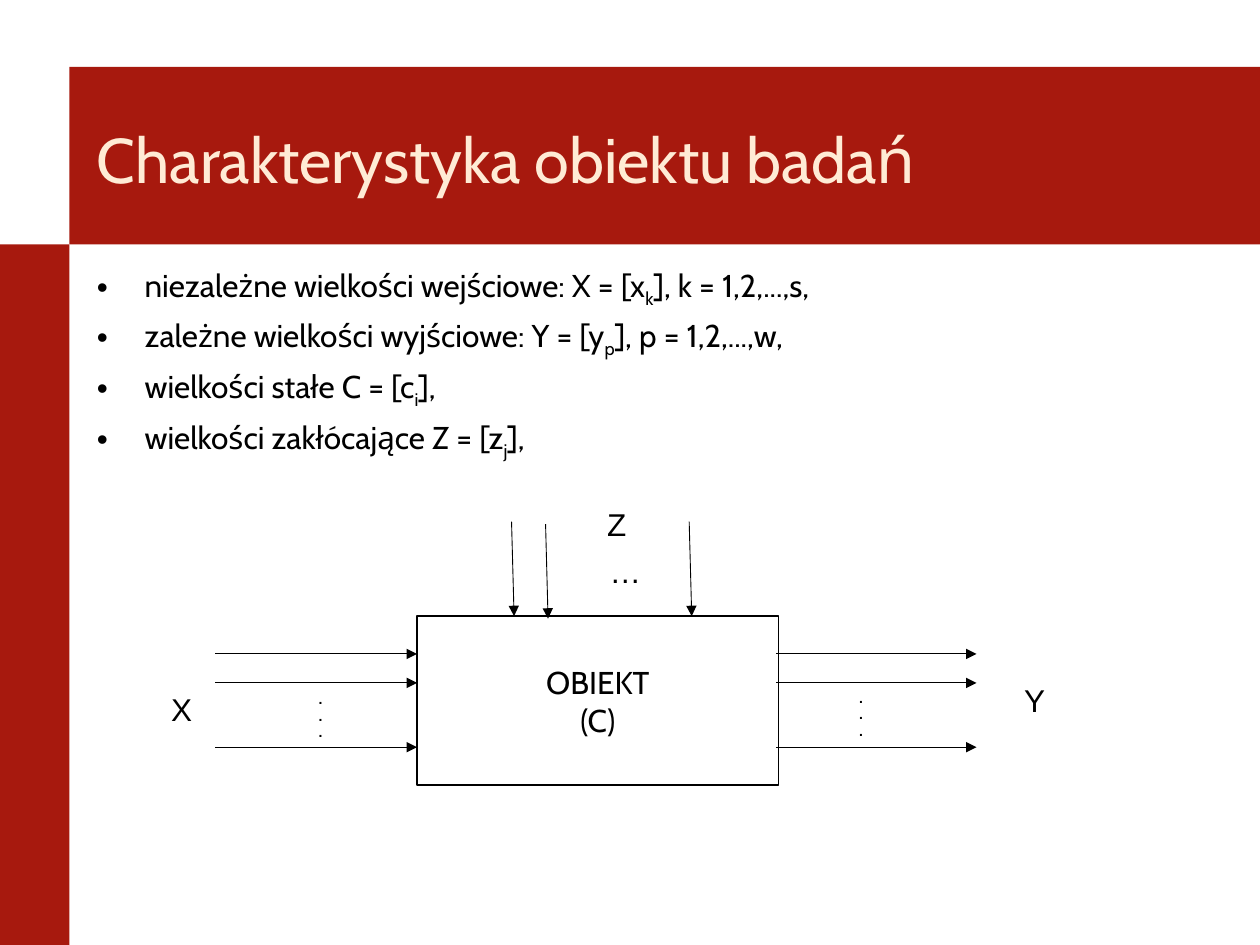
from pptx import Presentation
from pptx.dml.color import RGBColor
from pptx.enum.shapes import MSO_CONNECTOR, MSO_SHAPE
from pptx.enum.text import MSO_ANCHOR, MSO_AUTO_SIZE, PP_ALIGN
from pptx.oxml.ns import qn
from pptx.util import Inches, Pt
from lxml import etree

RECT = MSO_SHAPE.RECTANGLE
STRAIGHT = MSO_CONNECTOR.STRAIGHT
MIDDLE, TOP = MSO_ANCHOR.MIDDLE, MSO_ANCHOR.TOP
CENTER, LEFT = PP_ALIGN.CENTER, PP_ALIGN.LEFT
FIT_SHAPE = MSO_AUTO_SIZE.SHAPE_TO_FIT_TEXT


def rgb(hex_color):
    return RGBColor.from_string(hex_color)


def write(tf, paragraphs, font="Arial", size=18, color="000000", bold=False,
          align=LEFT, bullet=None, before=0):
    """Each paragraph is a string or a list of parts; odd parts are subscripts."""
    for i, parts in enumerate(paragraphs):
        p = tf.paragraphs[0] if i == 0 else tf.add_paragraph()
        p.alignment = align
        if i and before:
            p.space_before = Pt(before)
        if bullet:
            pPr = p._p.get_or_add_pPr()
            pPr.set("marL", str(Inches(0.38)))
            pPr.set("indent", str(-Inches(0.38)))
            etree.SubElement(pPr, qn("a:buFont"), typeface="Arial")
            etree.SubElement(pPr, qn("a:buChar"), char=bullet)
        for j, text in enumerate([parts] if isinstance(parts, str) else parts):
            r = p.add_run()
            r.text = text
            r.font.name = font
            r.font.size = Pt(size)
            r.font.bold = bold
            r.font.color.rgb = rgb(color)
            if j % 2:
                r._r.get_or_add_rPr().set("baseline", "-25000")


class Deck:
    RED, CREAM, BLACK, WHITE = "A7190E", "FFEBD5", "000000", "FFFFFF"
    FONT = "Cabin"

    def __init__(self, prs):
        self.s = prs.slides.add_slide(prs.slide_layouts[6])

    def rect(self, x, y, w, h, fill, line=None):
        sp = self.s.shapes.add_shape(RECT, *map(Inches, (x, y, w, h)))
        sp.shadow.inherit = False
        sp.fill.solid()
        sp.fill.fore_color.rgb = rgb(fill)
        if line:
            sp.line.color.rgb = rgb(line)
            sp.line.width = Pt(1)
        else:
            sp.line.fill.background()
        sp.text_frame.vertical_anchor = MIDDLE
        return sp

    def text(self, x, y, w, h, paragraphs, anchor=TOP, wrap=True, grow=False, **style):
        sp = self.s.shapes.add_textbox(*map(Inches, (x, y, w, h)))
        tf = sp.text_frame
        tf.word_wrap = wrap
        tf.vertical_anchor = anchor
        if grow:
            tf.auto_size = FIT_SHAPE
        write(tf, paragraphs, **style)

    def arrow(self, x1, y1, x2, y2):
        sp = self.s.shapes.add_connector(STRAIGHT, *map(Inches, (x1, y1, x2, y2)))
        sp.line.color.rgb = rgb(self.BLACK)
        sp.line.width = Pt(0.5)
        etree.SubElement(sp.line._get_or_add_ln(), qn("a:tailEnd"), type="triangle")
        etree.SubElement(sp._element.spPr, qn("a:effectLst"))


def main():
    prs = Presentation()
    prs.slide_width, prs.slide_height = Inches(10), Inches(7.5)
    deck = Deck(prs)

    # Red bands and title
    deck.rect(0.55, 0.53, 9.45, 1.41, deck.RED)
    deck.rect(0, 1.94, 0.55, 5.56, deck.RED)
    deck.text(0.67, 0.69, 9.21, 1.13, ["Charakterystyka obiektu badań"],
              anchor=MIDDLE, font=deck.FONT, size=36, color=deck.CREAM)

    # Quantities
    deck.text(0.67, 2.06, 9.21, 5.32, [
        ["niezależne wielkości wejściowe: X = [x", "k", "], k = 1,2,...,s,"],
        ["zależne wielkości wyjściowe: Y = [y", "p", "], p = 1,2,...,w,"],
        ["wielkości stałe C = [c", "i", "],"],
        ["wielkości zakłócające Z = [z", "j", "],"],
    ], font=deck.FONT, bullet="•", before=4.4)

    # Object block
    block = deck.rect(3.31, 4.89, 2.87, 1.34, deck.WHITE, line=deck.BLACK)
    write(block.text_frame, ["OBIEKT", "(C)"], font=deck.FONT, align=CENTER)

    # Inputs and outputs, then disturbances from above
    for y in (5.19, 5.42, 5.93):
        deck.arrow(1.71, y, 3.31, y)
        deck.arrow(6.16, y, 7.75, y)
    for x, y in ((4.06, 4.14), (4.33, 4.16), (5.47, 4.14)):
        deck.arrow(x, y, x + 0.02, y + 0.75)

    # Vertical dots
    for x, y in ((2.43, 5.43), (6.72, 5.42)):
        deck.text(x, y, 0.23, 0.5, ["."] * 3, wrap=False, grow=True, size=8, bold=True)

    # Labels
    for label, x, y, w in (("…", 4.74, 4.33, 0.63), ("X", 1.26, 5.43, 0.37),
                           ("Z", 4.72, 3.96, 0.55), ("Y", 8.03, 5.36, 0.73)):
        deck.text(x, y, w, 0.4, [label], wrap=label != "X", grow=True)

    prs.save("out.pptx")


if __name__ == "__main__":
    main()
